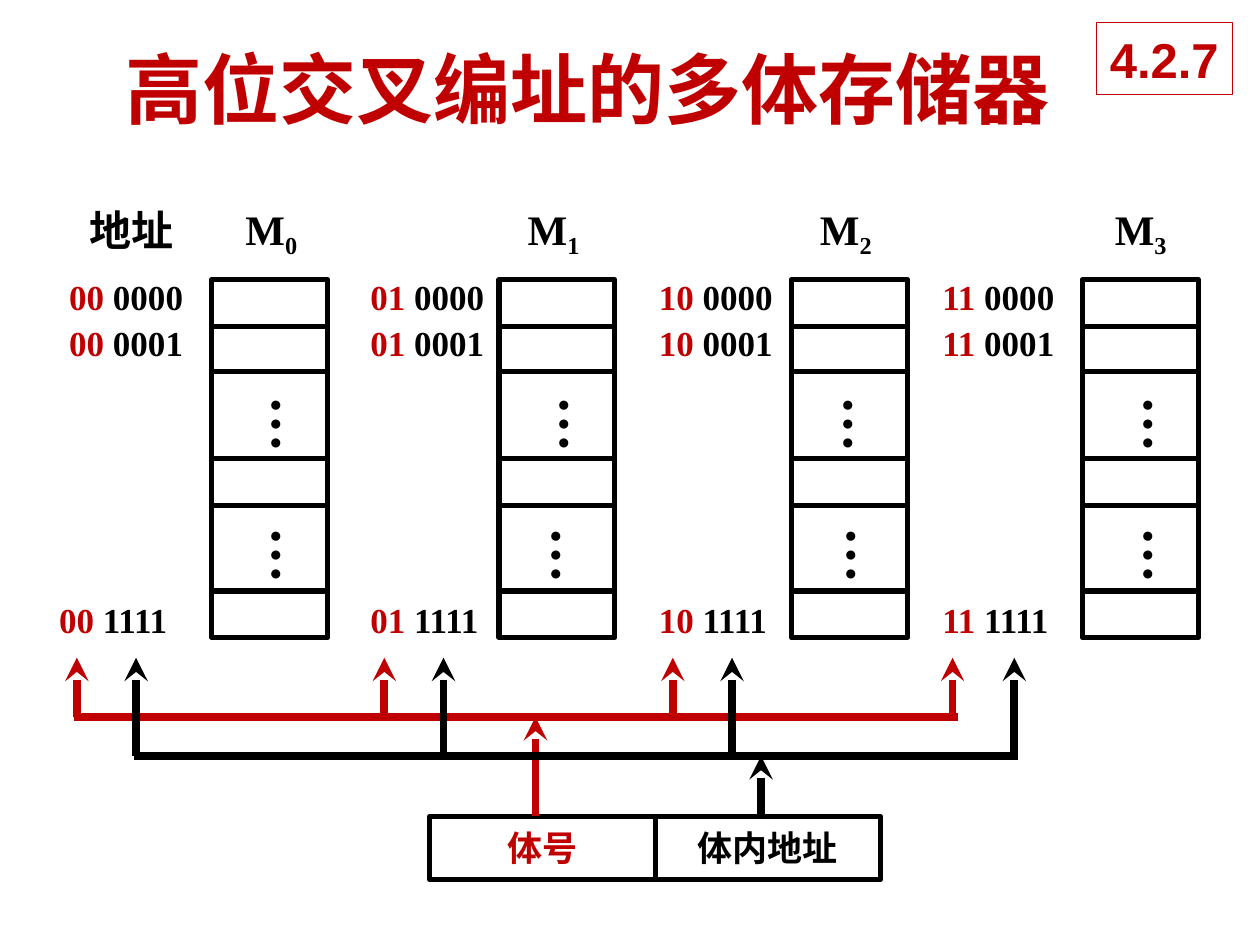
from itertools import pairwise

from lxml import etree
from pptx import Presentation
from pptx.dml.color import RGBColor
from pptx.enum.shapes import MSO_CONNECTOR, MSO_SHAPE
from pptx.enum.text import MSO_ANCHOR, MSO_AUTO_SIZE, PP_ALIGN
from pptx.oxml.ns import qn
from pptx.util import Inches, Pt

STRAIGHT = MSO_CONNECTOR.STRAIGHT
RECT = MSO_SHAPE.RECTANGLE
MIDDLE = MSO_ANCHOR.MIDDLE
LEFT, CENTER = PP_ALIGN.LEFT, PP_ALIGN.CENTER
FIT, FIXED = MSO_AUTO_SIZE.SHAPE_TO_FIT_TEXT, MSO_AUTO_SIZE.NONE

RED, BLACK, WHITE = "C00000", "000000", "FFFFFF"
SERIF, SANS, CJK = "Times New Roman", "Arial", "Noto Sans CJK SC"


def rgb(value):
    return RGBColor.from_string(value)


class Diagram:
    """Holds the text style and the slide being drawn."""

    style = {"name": SERIF, "size": Pt(20), "bold": True}

    def __init__(self, slide):
        self.slide = slide

    def add_runs(self, tf, runs, align=LEFT, **changes):
        """Fill a text frame with runs of (text, colour, baseline percent)."""
        p = tf.paragraphs[0]
        p.alignment = align
        for text, color, baseline in runs:
            r = p.add_run()
            r.text = text
            for key, value in {**self.style, **changes}.items():
                setattr(r.font, key, value)
            r.font.color.rgb = rgb(color)
            rPr = r.font._element
            etree.SubElement(rPr, qn("a:ea")).set("typeface", CJK)
            if baseline:
                rPr.set("baseline", str(baseline * 1000))

    def text(self, box, runs, wrap=False, vertical=False, **changes):
        sp = self.slide.shapes.add_textbox(*map(Inches, box))
        tf = sp.text_frame
        tf.word_wrap = wrap
        tf.auto_size = FIT
        if vertical:
            tf._txBody.bodyPr.set("vert", "eaVert")
        self.add_runs(tf, runs, **changes)
        return sp

    def rect(self, box, line=BLACK, width=3, fill=None):
        sp = self.slide.shapes.add_shape(RECT, *map(Inches, box))
        sp.shadow.inherit = False
        if fill:
            sp.fill.solid()
            sp.fill.fore_color.rgb = rgb(fill)
        else:
            sp.fill.background()
        sp.line.color.rgb = rgb(line)
        sp.line.width = Pt(width)
        tf = sp.text_frame
        tf.word_wrap = False
        tf.vertical_anchor = MIDDLE
        return sp

    def line(self, start, end, color, arrow=False):
        """Draw a line, with an optional arrowhead at its start."""
        cx = self.slide.shapes.add_connector(STRAIGHT, *map(Inches, start + end))
        cx.line.color.rgb = rgb(color)
        cx.line.width = Pt(4.5)
        if arrow:
            ln = cx.line._get_or_add_ln()
            etree.SubElement(ln, qn("a:headEnd")).set("type", "stealth")
        etree.SubElement(cx._element.spPr, qn("a:effectLst"))

    def bank(self, number, left, label_left, dots_lefts):
        self.text((label_left, 1.57, 0.63, 0.5),
                  [("M", BLACK, 0), (str(number), BLACK, -20)], size=Pt(24))
        for top, bottom in pairwise(CELL_EDGES):
            self.rect((left, top, 0.92, bottom - top))
        for x, top in zip(dots_lefts, (3.05, 4.09)):
            self.text((x, top, 0.73, 0.55), [("…", BLACK, 0)],
                      vertical=True, size=Pt(32))

    def addresses(self, number, lefts):
        for x, (top, offset) in zip(lefts, ADDRESS_ROWS):
            self.text((x, top, 1.15, 0.43),
                      [(f"{number:02b} ", RED, 0), (offset, BLACK, 0)], wrap=True)

    def bus(self, y, left, right, arrows, color):
        self.line((left, y), (right, y), color)
        for x in arrows:
            self.line((x, 5.22), (x, y), color, arrow=True)


CELL_EDGES = (2.22, 2.59, 2.95, 3.64, 4.01, 4.69, 5.06)
ADDRESS_ROWS = ((2.14, "0000"), (2.5, "0001"), (4.7, "1111"))
# cells left, label left, dots lefts, address lefts
BANKS = (
    (1.68, 1.85, (1.93, 1.93), (0.45, 0.45, 0.37)),
    (3.96, 4.09, (4.21, 4.15), (2.84,) * 3),
    (6.28, 6.41, (6.47, 6.49), (5.13,) * 3),
    (8.59, 8.75, (8.85, 8.85), (7.38,) * 3),
)
# text, box left, colour, arrow x, bus y, bus left, bus right, bus arrows
FIELDS = (
    ("体号", 3.41, RED, 4.25, 5.69, 0.59, 7.6, (0.61, 3.05, 5.34, 7.56)),
    ("体内地址", 5.2, BLACK, 6.04, 6, 1.06, 8.08, (1.08, 3.52, 5.81, 8.05)),
)


def main():
    prs = Presentation()
    prs.slide_width, prs.slide_height = Inches(10), Inches(7.5)
    d = Diagram(prs.slides.add_slide(prs.slide_layouts[6]))

    title = d.text((0.45, 0.28, 8.44, 0.84), [("高位交叉编址的多体存储器", RED, 0)],
                   wrap=True, align=CENTER, name=CJK, size=Pt(44))
    title.text_frame.auto_size = FIXED
    title.text_frame.vertical_anchor = MIDDLE

    d.text((0.61, 1.57, 0.88, 0.51), [("地址", BLACK, 0)], size=Pt(24))
    for number, (left, label_left, dots_lefts, address_lefts) in enumerate(BANKS):
        d.bank(number, left, label_left, dots_lefts)
        d.addresses(number, address_lefts)

    for name, left, color, x, y, bus_left, bus_right, arrows in FIELDS:
        field = d.rect((left, 6.48, 1.79, 0.5))
        d.add_runs(field.text_frame, [(name, color, 0)], align=CENTER)
        d.bus(y, bus_left, bus_right, arrows, color)
        d.line((x, y), (x, 6.48), color, arrow=True)

    section = d.rect((8.7, 0.18, 1.08, 0.57), line=RED, width=0.75, fill=WHITE)
    d.add_runs(section.text_frame, [("4.2.7", RED, 0)], align=CENTER,
               name=SANS, size=Pt(28))
    prs.save("out.pptx")


if __name__ == "__main__":
    main()
